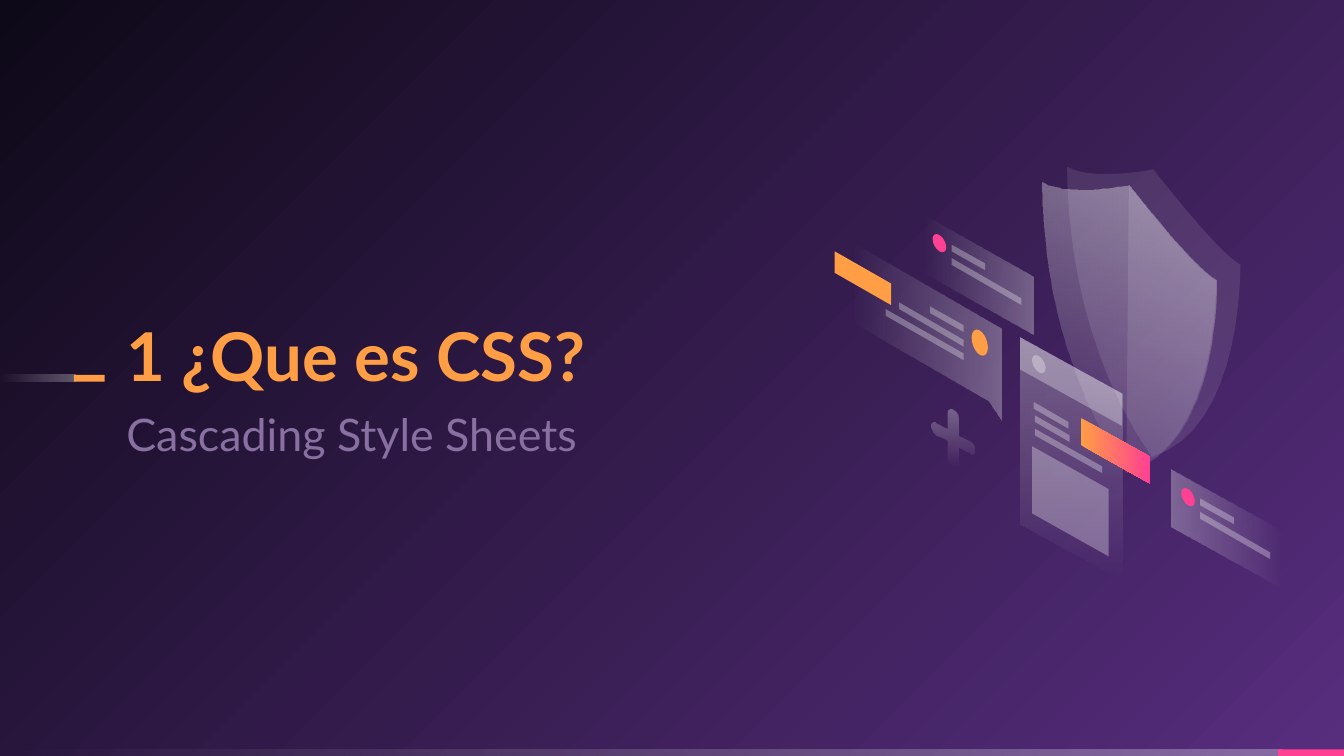
"""Build the CSS section slide with its slanted web page and shield artwork."""
from math import cos, pi, sin

from lxml import etree
from pptx import Presentation
from pptx.dml.color import RGBColor as RGB
from pptx.enum.shapes import MSO_SHAPE as SHAPE
from pptx.enum.text import MSO_ANCHOR as ANCHOR
from pptx.oxml.ns import qn
from pptx.util import Inches, Pt

HUES = {"white": "FFFFFF", "orange": "FF9E44", "pink": "FF4093",
        "mauve": "8870A0", "violet": "572D7E", "night": "0E0918"}
VEIL = [("white", 30), ("white", 0)]
GLASS = [("white", 40), ("white", 0)]
MIST = [("white", 30)]
HAZE = [("white", 10)]
ORANGE = [("orange", 100)]
PINK = [("pink", 100)]
GLOW = [("orange", 100), ("pink", 100)]
WIDE = 10
TALL = WIDE * 9 / 16


def paint(fill, box, stops, ang=0):
    fill.solid()
    old = box.find(qn("a:solidFill"))
    blend = len(stops) > 1
    new = etree.Element(qn("a:gradFill" if blend else "a:solidFill"))
    home = etree.SubElement(new, qn("a:gsLst")) if blend else new
    for i, (hue, alpha) in enumerate(stops):
        spot = home
        if blend:
            spot = etree.SubElement(home, qn("a:gs"), pos=str(i * 100000))
        tint = etree.SubElement(spot, qn("a:srgbClr"), val=HUES[hue])
        if alpha < 100:
            etree.SubElement(tint, qn("a:alpha"), val=str(alpha * 1000))
    if blend and ang is None:
        ring = etree.SubElement(new, qn("a:path"), path="circle")
        etree.SubElement(ring, qn("a:fillToRect"), l="100000", t="100000")
    elif blend:
        etree.SubElement(new, qn("a:lin"), ang=str(ang * 60000), scaled="0")
    box.replace(old, new)


def text(words, x, y, w, h, size, hue, bold=False, anchor=ANCHOR.TOP,
         space=1.0, after=0):
    frame = slide.shapes.add_textbox(
        Inches(x), Inches(y), Inches(w), Inches(h)).text_frame
    frame.word_wrap = True
    frame.vertical_anchor = anchor
    frame.margin_left = frame.margin_right = Inches(0)
    frame.margin_top = frame.margin_bottom = Inches(0)
    para = frame.paragraphs[0]
    para.line_spacing = space
    para.space_after = Pt(after)
    run = para.add_run()
    run.text = words
    run.font.name = "Lato"
    run.font.size = Pt(size)
    run.font.bold = bold
    run.font.color.rgb = RGB.from_string(HUES[hue])


deck = Presentation()
deck.slide_width, deck.slide_height = Inches(WIDE), Inches(TALL)
slide = deck.slides.add_slide(deck.slide_layouts[6])
back = slide.background.fill
back.solid()
paint(back, slide.element.find(".//" + qn("p:bgPr")),
      [("violet", 100), ("night", 100)], None)

foot = slide.shapes
dash = slide.shapes.add_group_shape().shapes
for home, x, y, w, stops in [
        (foot, 0, TALL - 0.05, 9.54, VEIL),
        (foot, 9.51, TALL - 0.05, 0.49, PINK),
        (dash, 0, 2.79, 0.56, VEIL), (dash, 0.55, 2.79, 0.23, ORANGE)]:
    bar = home.add_shape(SHAPE.RECTANGLE, Inches(x), Inches(y),
                         Inches(w), Inches(0.05))
    bar.shadow.inherit = False
    bar.line.fill.background()
    paint(bar.fill, bar.element.spPr, stops, 180)

text("1 ¿Que es CSS?", 0.94, 1.68, 5.59, 1.27, 36, "orange", bold=True,
     anchor=ANCHOR.BOTTOM, space=0.9)
text("Cascading Style Sheets", 0.94, 2.97, 5.59, 0.47, 24, "mauve",
     space=1.15, after=8)

shield = [(8.4, 1.38), (8.25, 1.41, 7.91, 1.45, 7.76, 1.36),
          (7.76, 1.96, 7.9, 2.82, 8.39, 3.52),
          (8.88, 3.37, 9.04, 2.69, 9.05, 2.09),
          (8.9, 2.01, 8.56, 1.58, 8.4, 1.38)]
shade = [tuple(v + (0.18, -0.12)[i % 2] for i, v in enumerate(node))
         for node in shield]
half = [(9.05, 2.09), shield[4], (8.38, 3.52), shield[3]]
panel = [(7.45, 2.45), (6.33, 1.8), (6.33, 2.39), (7.35, 2.98), (7.45, 3.13)]
plus = [(7.09, 3.05), (7.11, 3.06, 7.13, 3.09, 7.13, 3.12), (7.13, 3.24),
        (7.21, 3.28), (7.23, 3.29, 7.25, 3.32, 7.25, 3.35),
        (7.25, 3.38, 7.23, 3.39, 7.21, 3.37), (7.13, 3.33), (7.13, 3.45),
        (7.13, 3.47, 7.11, 3.48, 7.09, 3.47),
        (7.07, 3.46, 7.05, 3.43, 7.05, 3.4), (7.05, 3.28), (6.97, 3.24),
        (6.95, 3.23, 6.93, 3.19, 6.93, 3.17),
        (6.93, 3.14, 6.95, 3.13, 6.97, 3.15), (7.05, 3.19), (7.05, 3.07),
        (7.05, 3.05, 7.07, 3.04, 7.09, 3.05)]

forms = []
for x, y, ang in [(6.87, 1.6, 180), (8.72, 3.49, 0)]:
    forms += [("slant", (x, y, 0.82, 0.46, 0.43), VEIL, ang),
              ("slant", (x + 0.21, y + 0.22, 0.25, 0.14, 0.05), MIST, 0),
              ("slant", (x + 0.21, y + 0.32, 0.52, 0.3, 0.05), MIST, 0),
              ("dot", (x + 0.12, y + 0.21, 0.05, 0.06), PINK, 0)]
forms += [
    ("curve", shade, HAZE, 0),
    ("curve", shield, GLASS, 110),
    ("curve", half, HAZE, 0),
    ("slant", (7.59, 2.51, 0.76, 0.42, 1.39), VEIL, 90),
    ("slant", (7.68, 3.32, 0.57, 0.32, 0.5), MIST, 0),
    ("slant", (7.69, 2.99, 0.26, 0.15, 0.05), MIST, 0),
    ("slant", (7.7, 3.09, 0.26, 0.15, 0.05), MIST, 0),
    ("slant", (7.7, 3.19, 0.5, 0.28, 0.05), MIST, 0),
    ("slant", (7.59, 2.51, 0.76, 0.42, 0.24), MIST, 0),
    ("dot", (7.73, 2.71, 0.05, 0.06), MIST, 0),
    ("slant", (8.04, 3.11, 0.52, 0.29, 0.2), GLOW, 0),
    ("curve", panel, VEIL, 180),
    ("slant", (6.21, 1.87, 0.42, 0.24, 0.16), ORANGE, 0),
    ("slant", (6.92, 2.28, 0.25, 0.14, 0.05), MIST, 0),
    ("slant", (6.69, 2.25, 0.48, 0.28, 0.05), MIST, 0),
    ("slant", (6.59, 2.3, 0.58, 0.33, 0.05), MIST, 0),
    ("dot", (7.29, 2.55, 0.06, 0.09), ORANGE, 0),
    ("curve", plus, VEIL, 90)]

art = slide.shapes.add_group_shape().shapes
for kind, data, stops, ang in forms:
    if kind == "slant":
        x, y, w, drop, h = data
        dots = [(x, y), (x + w, y + drop), (x + w, y + drop + h), (x, y + h)]
    elif kind == "dot":
        x, y, rx, ry = data
        turns = [2 * pi * i / 32 for i in range(32)]
        dots = [(x + rx * cos(t), y + ry * sin(t) + 0.6 * rx * cos(t))
                for t in turns]
    else:
        dots = []
        for node in data:
            if len(node) == 2:
                dots.append(node)
                continue
            ends = [dots[-1], node[:2], node[2:4], node[4:]]
            for t in [i / 12 for i in range(1, 13)]:
                mix = ((1 - t) ** 3, 3 * t * (1 - t) ** 2,
                       3 * t * t * (1 - t), t ** 3)
                dots.append(tuple(sum(m * e[k] for m, e in zip(mix, ends))
                                  for k in (0, 1)))
    spots = [(Inches(x), Inches(y)) for x, y in dots]
    pen = art.build_freeform(*spots[0])
    pen.add_line_segments(spots[1:])
    form = pen.convert_to_shape()
    form.shadow.inherit = False
    form.line.fill.background()
    paint(form.fill, form.element.spPr, stops, ang)

deck.save("out.pptx")
